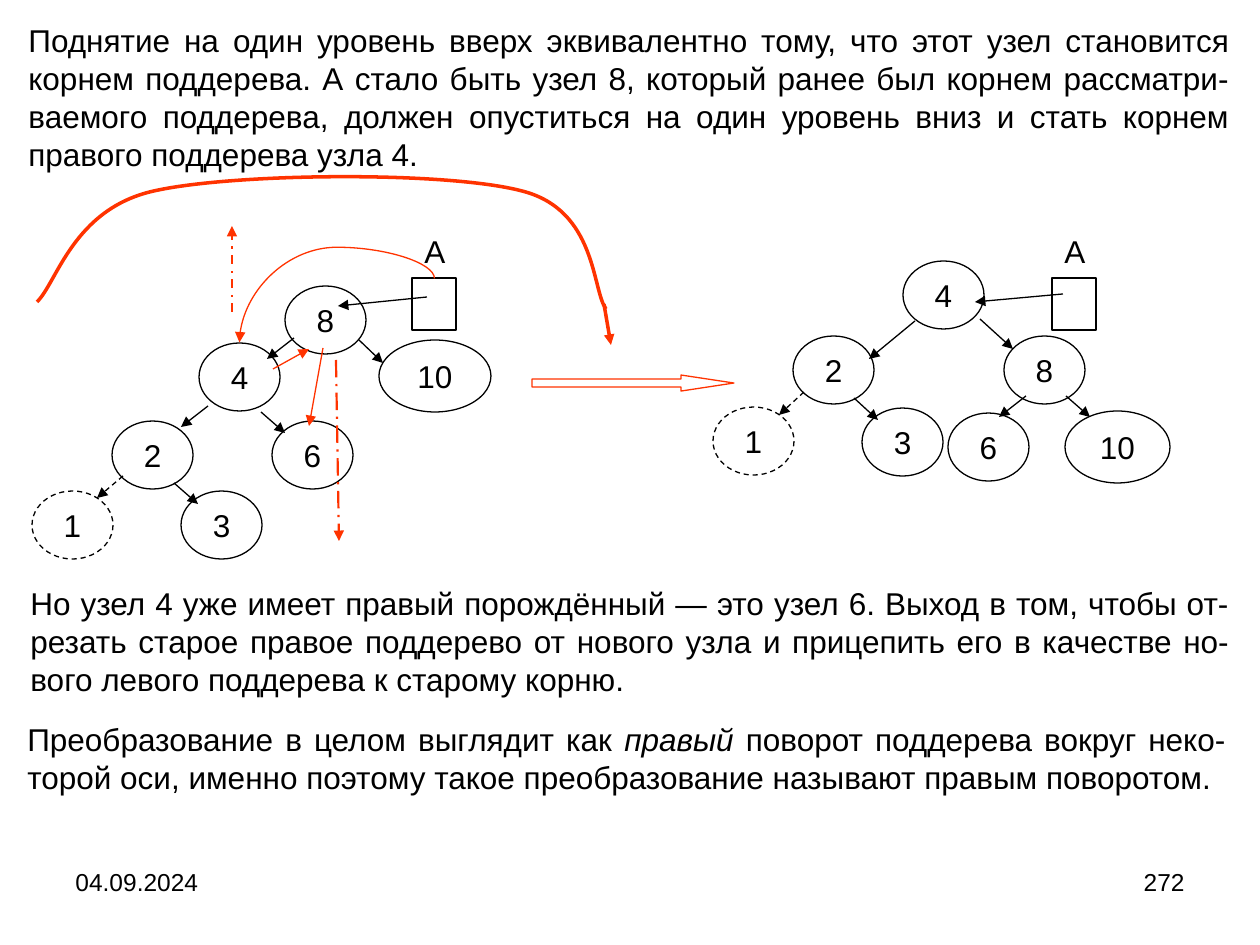
import dataclasses

import pptx
import pptx.dml.color
import pptx.enum.dml
import pptx.enum.shapes
import pptx.enum.text
import pptx.oxml
import pptx.oxml.ns
import pptx.util

SHAPE = pptx.enum.shapes.MSO_SHAPE
CONNECTOR = pptx.enum.shapes.MSO_CONNECTOR
DASH = pptx.enum.dml.MSO_LINE
ALIGN = pptx.enum.text.PP_ALIGN
ANCHOR = pptx.enum.text.MSO_ANCHOR


@dataclasses.dataclass(frozen=True)
class Theme:
    font: str = "Arial"
    ink: str = "000000"
    accent: str = "FF3300"
    body: int = 18
    footer: int = 14
    thin: float = 0.75
    medium: float = 1.25
    thick: float = 2


THEME = Theme()
PX = 914400 / 126
NODE = (81, 68)

# Each paragraph: box, then runs of (text, italic)
PARAGRAPHS = [
    ((16, 15, 1226, 164), [(
        "Поднятие на один уровень вверх эквивалентно тому, что этот узел становится "
        "корнем поддерева. А стало быть узел 8, который ранее был корнем рассматри-"
        "ваемого поддерева, должен опуститься на один уровень вниз и стать корнем "
        "правого поддерева узла 4.", False)]),
    ((18, 578, 1224, 126), [(
        "Но узел 4 уже имеет правый порождённый ― это узел 6. Выход в том, чтобы от-"
        "резать старое правое поддерево от нового узла и прицепить его в качестве но-"
        "вого левого поддерева к старому корню.", False)]),
    ((15, 714, 1223, 88), [
        ("Преобразование в целом выглядит как ", False),
        ("правый", True),
        (" поворот поддерева вокруг неко-торой оси, именно поэтому такое "
         "преобразование называют правым поворотом.", False)]),
]
FOOTER = [
    ((63, 861, 294, 66), "04.09.2024", ALIGN.LEFT),
    ((903, 861, 294, 66), "272", ALIGN.RIGHT),
]

# Nodes: (key, left, top) with an optional size; node 1 and its edge are dashed
TREES = [
    {
        "nodes": [("8", 285, 286), ("10", 379, 340, 112, 72), ("4", 199, 343),
                  ("2", 112, 421), ("6", 272, 421), ("1", 32, 491), ("3", 181, 491)],
        "edges": [(294, 338, 267, 359), (208, 406, 181, 427), (261, 412, 285, 433),
                  (359, 340, 383, 363), (174, 483, 198, 504), (427, 297, 338, 306)],
        "dashed_edge": (123, 476, 97, 498),
        "pointer_left": 412,
    },
    {
        "nodes": [("8", 1004, 336), ("10", 1065, 411, 105, 72), ("4", 903, 261),
                  ("2", 793, 336), ("6", 948, 413), ("1", 713, 407), ("3", 862, 408)],
        "edges": [(915, 321, 869, 359), (980, 319, 1013, 349), (1066, 396, 1090, 417),
                  (854, 398, 878, 420), (1063, 294, 975, 302), (1026, 396, 999, 417)],
        "dashed_edge": (804, 392, 779, 415),
        "pointer_left": 1052,
    },
]

# Accent arrows: ends, weight, dash
MOVES = [
    ((232, 312, 232, 226), THEME.medium, DASH.DASH_DOT),
    ((336, 360, 339, 541), THEME.medium, DASH.LONG_DASH_DOT),
    ((273, 369, 309, 349), THEME.thin, None),
    ((323, 348, 309, 426), THEME.thin, None),
    ((604, 304, 611, 345), THEME.thick, None),
]
POINTER_MOVE = (369, 408, 305, 213)
ROTATION_ARROW = (532, 375, 202, 16)
ROTATION_START = (37, 302)
# Two control points and an end point for each curve segment
ROTATION_CURVE = [
    (57, 283), (73, 209), (154, 191),
    (234, 173), (446, 171), (522, 191),
    (597, 210), (592, 290), (606, 309),
]


def emu(*lengths):
    return [round(length * PX) for length in lengths]


def style_line(line, colour, weight, dash=None):
    line.color.rgb = pptx.dml.color.RGBColor.from_string(colour)
    line.width = pptx.util.Pt(weight)
    if dash is not None:
        line.dash_style = dash


def write(frame, runs, size=THEME.body, align=ALIGN.LEFT, anchor=ANCHOR.TOP,
          wrap=True, inset=None):
    frame.word_wrap = wrap
    frame.vertical_anchor = anchor
    if inset is not None:
        frame.margin_left = frame.margin_right = inset
        frame.margin_top = frame.margin_bottom = inset
    paragraph = frame.paragraphs[0]
    paragraph.alignment = align
    for text, italic in runs:
        run = paragraph.add_run()
        run.text = text
        run.font.name = THEME.font
        run.font.size = pptx.util.Pt(size)
        run.font.italic = italic
        run.font.color.rgb = pptx.dml.color.RGBColor.from_string(THEME.ink)


def add_text(slide, box, runs, **layout):
    write(slide.shapes.add_textbox(*emu(*box)).text_frame, runs, **layout)


def add_outline(slide, kind, box, colour=THEME.ink, dash=None):
    """Add an unfilled preset shape."""
    shape = slide.shapes.add_shape(kind, *emu(*box))
    shape.shadow.inherit = False
    shape.fill.background()
    style_line(shape.line, colour, THEME.thin, dash)
    return shape


def add_arrow(slide, ends, colour=THEME.ink, weight=THEME.thin, dash=None,
              kind=CONNECTOR.STRAIGHT):
    arrow = slide.shapes.add_connector(kind, *emu(*ends))
    style_line(arrow.line, colour, weight, dash)
    outline = arrow.line._get_or_add_ln()
    pptx.oxml.ns.qn("a:tailEnd")
    outline.append(pptx.oxml.parse_xml(
        f'<a:tailEnd {pptx.oxml.ns.nsdecls("a")} type="triangle"/>'))
    arrow._element.spPr.append(pptx.oxml.parse_xml(
        f'<a:effectLst {pptx.oxml.ns.nsdecls("a")}/>'))
    return arrow


def add_tree(slide, tree):
    for key, left, top, *size in tree["nodes"]:
        dash = DASH.DASH if key == "1" else None
        node = add_outline(slide, SHAPE.OVAL, (left, top, *(size or NODE)), dash=dash)
        write(node.text_frame, [(key, False)], align=ALIGN.CENTER,
              anchor=ANCHOR.MIDDLE, wrap=False, inset=0)
    for edge in tree["edges"]:
        add_arrow(slide, edge)
    add_arrow(slide, tree["dashed_edge"], dash=DASH.DASH)
    left = tree["pointer_left"]
    add_text(slide, (left, 226, 50, 50), [("A", False)])
    add_outline(slide, SHAPE.RECTANGLE, (left, 278, 44, 52))


def add_pointer_move(slide):
    """Curve from the pointer box, turned a quarter so that it leaves upwards."""
    move = add_arrow(slide, POINTER_MOVE, THEME.accent, kind=CONNECTOR.CURVE)
    properties = move._element.spPr
    properties.find(pptx.oxml.ns.qn("a:xfrm")).set("rot", str(270 * 60000))
    geometry = properties.find(pptx.oxml.ns.qn("a:prstGeom"))
    adjustments = geometry.find(pptx.oxml.ns.qn("a:avLst"))
    adjustments.append(pptx.oxml.parse_xml(
        f'<a:gd {pptx.oxml.ns.nsdecls("a")} name="adj1" fmla="val -48800"/>'))


def add_rotation_curve(slide):
    """Build the outline through all points, then group each three into a Bézier."""
    builder = slide.shapes.build_freeform(*ROTATION_START, scale=PX)
    builder.add_line_segments(ROTATION_CURVE, close=False)
    curve = builder.convert_to_shape()
    curve.shadow.inherit = False
    curve.fill.background()
    style_line(curve.line, THEME.accent, THEME.thick)
    steps = list(curve._element.iter(pptx.oxml.ns.qn("a:lnTo")))
    for first in range(0, len(steps), 3):
        bezier = pptx.oxml.parse_xml(
            f'<a:cubicBezTo {pptx.oxml.ns.nsdecls("a")}/>')
        steps[first].addprevious(bezier)
        for step in steps[first:first + 3]:
            bezier.append(step[0])
            step.getparent().remove(step)


def main():
    deck = pptx.Presentation()
    deck.slide_width, deck.slide_height = emu(1260, 945)
    slide = deck.slides.add_slide(deck.slide_layouts[6])
    for box, text, align in FOOTER:
        add_text(slide, box, [(text, False)], size=THEME.footer, align=align)
    for box, runs in PARAGRAPHS:
        add_text(slide, box, runs, align=ALIGN.JUSTIFY)
    for tree in TREES:
        add_tree(slide, tree)
    for ends, weight, dash in MOVES:
        add_arrow(slide, ends, THEME.accent, weight, dash)
    add_pointer_move(slide)
    arrow = add_outline(slide, SHAPE.RIGHT_ARROW, ROTATION_ARROW, THEME.accent)
    arrow.adjustments[0], arrow.adjustments[1] = 0.5, 3.3
    add_rotation_curve(slide)
    deck.save("out.pptx")


if __name__ == "__main__":
    main()
